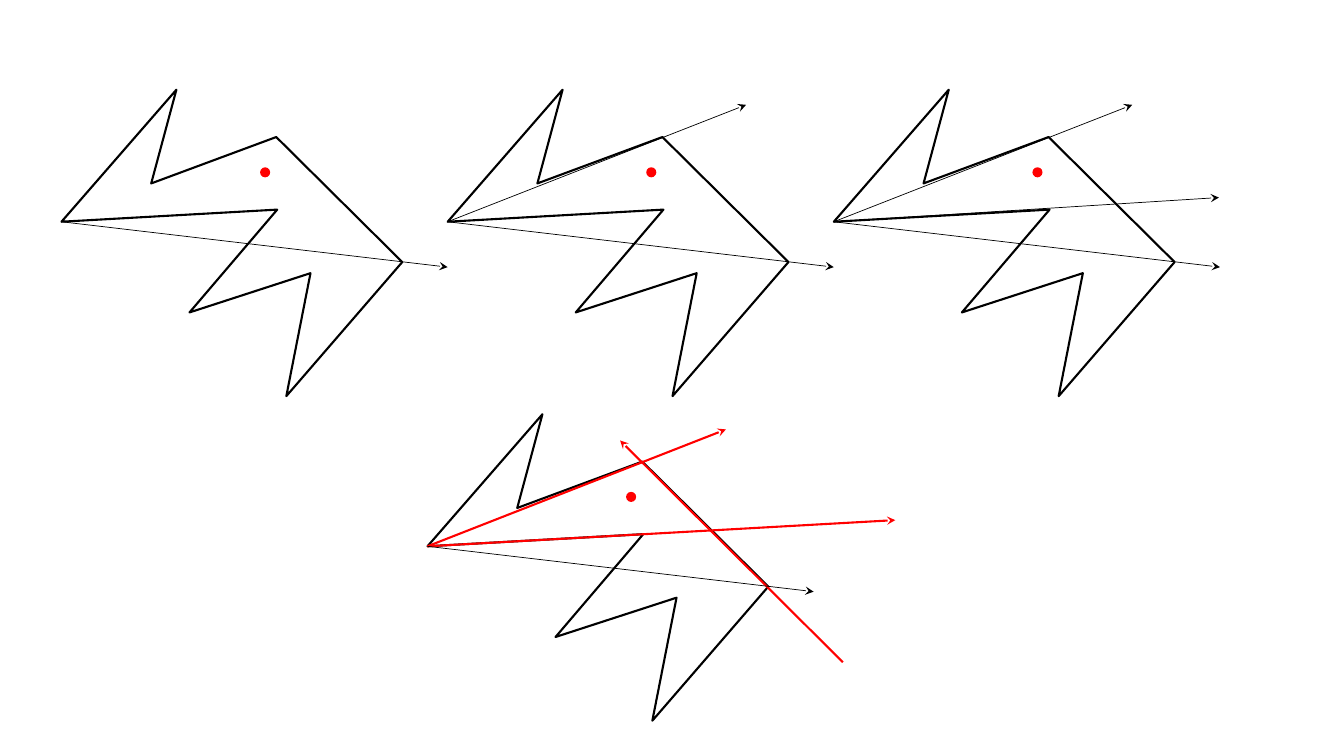
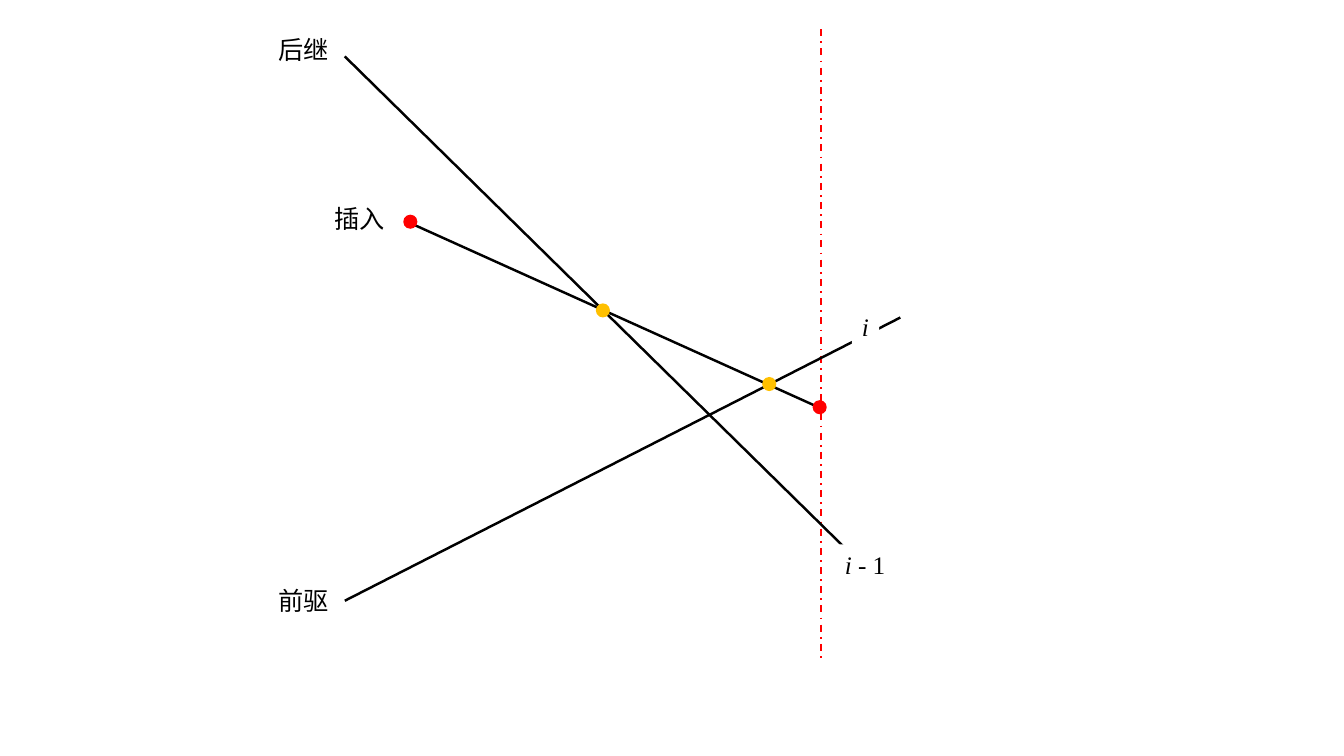
from lxml.etree import SubElement
from pptx import Presentation
from pptx.dml.color import RGBColor
from pptx.enum.dml import MSO_LINE
from pptx.enum.shapes import MSO_CONNECTOR, MSO_SHAPE
from pptx.enum.text import MSO_AUTO_SIZE as AutoSize
from pptx.oxml.ns import qn
from pptx.util import Pt

PX = 9144  # EMU per px, 100 px to the inch
COLORS = {"black": "000000", "red": "FF0000", "amber": "FFC000", "white": "FFFFFF"}
LATIN, CHINESE = "Times New Roman", "Noto Sans CJK SC"

# Polygon and rays, relative to the left top corner of the polygon
POLYGON = [(89, 93), (213, 47), (338, 171), (223, 304), (247, 182),
           (127, 221), (214, 119), (0, 131), (114, 0)]
APEX = (0, 131)
LOW_RAY = (APEX, (383, 176))
HIGH_RAY = (APEX, (296, 15))
MIDDLE_RAY = (APEX, (382, 107))
LONG_RAY = (APEX, (464, 105))
EDGE_RAY = ((412, 246), (191, 26))
THIN = {"color": "black", "width": 0.5}
BOLD = {"color": "red", "width": 1.5}


def color(name):
    return RGBColor.from_string(COLORS[name])


def set_format(target, values):
    for name, value in values.items():
        setattr(target, name, value)


def add_line(shapes, start, end, line_color, width, arrow=False, dash=None):
    ends = [value * PX for value in (*start, *end)]
    connector = shapes.add_connector(MSO_CONNECTOR.STRAIGHT, *ends)
    connector.line.color.rgb = color(line_color)
    set_format(connector.line, {"width": Pt(width), "dash_style": dash})
    properties = connector._element.spPr
    if arrow:
        SubElement(properties.find(qn("a:ln")), qn("a:tailEnd"), type="stealth")
    SubElement(properties, qn("a:effectLst"))


def add_dot(shapes, left, top, size, fill):
    dot = shapes.add_shape(MSO_SHAPE.OVAL, left * PX, top * PX, size * PX, size * PX)
    dot.shadow.inherit = False
    dot.fill.solid()
    dot.fill.fore_color.rgb = color(fill)
    dot.line.fill.background()


def add_label(shapes, box, runs, font, wrap=True, fill=None):
    """Place one line of text; runs are (text, italic) pairs."""
    label = shapes.add_textbox(*(value * PX for value in box))
    if fill:
        label.fill.solid()
        label.fill.fore_color.rgb = color(fill)
    set_format(label.text_frame,
               {"word_wrap": wrap, "auto_size": AutoSize.SHAPE_TO_FIT_TEXT})
    paragraph = label.text_frame.paragraphs[0]
    for text, italic in runs:
        run = paragraph.add_run()
        run.text = text
        run.font.color.rgb = color("black")
        set_format(run.font, {"size": Pt(18), "name": font, "italic": italic})
        SubElement(run._r.get_or_add_rPr(), qn("a:ea"), typeface=font)


def add_polygon(shapes, left, top):
    builder = shapes.build_freeform(*POLYGON[0], scale=PX)
    builder.add_line_segments(POLYGON[1:], close=True)
    polygon = builder.convert_to_shape(left * PX, top * PX)
    polygon.shadow.inherit = False
    polygon.fill.background()
    polygon.line.color.rgb = color("black")
    polygon.line.width = Pt(1.5)


def add_panel(slide, left, top, rays):
    """Group a polygon, its inner point and (ray, style) pairs."""
    shapes = slide.shapes.add_group_shape().shapes
    add_polygon(shapes, left, top)
    add_dot(shapes, left + 197, top + 77, 10, "red")
    for ray, style in rays:
        start, end = ((left + x, top + y) for x, y in ray)
        add_line(shapes, start, end, style["color"], style["width"], arrow=True)


def build_ray_slide(slide):
    steps = [[LOW_RAY], [LOW_RAY, HIGH_RAY], [MIDDLE_RAY, HIGH_RAY, LOW_RAY]]
    for index, rays in enumerate(steps):
        add_panel(slide, 61 + 383 * index, 89, [(ray, THIN) for ray in rays])
    result = [(ray, BOLD) for ray in (LONG_RAY, HIGH_RAY, EDGE_RAY)]
    add_panel(slide, 424, 411, result + [(LOW_RAY, THIN)])


def build_sweep_slide(slide):
    shapes = slide.shapes
    add_line(shapes, (814, 29), (814, 653), "red", 1.25, dash=MSO_LINE.DASH_DOT)
    segments = [((404, 220), (814, 405)), ((342, 596), (893, 315)),
                ((871, 576), (342, 56))]
    for start, end in segments:
        add_line(shapes, start, end, "black", 1.75)
    dots = [(400, 213, "red"), (591, 301, "amber"),
            (756, 374, "amber"), (806, 397, "red")]
    for left, top, fill in dots:
        add_dot(shapes, left, top, 14, fill)
    names = [((845, 304, 27, 40), [("i", True)]),
             ((828, 540, 61, 40), [("i - ", True), ("1", False)])]
    for box, runs in names:
        add_label(shapes, box, runs, LATIN, wrap=False, fill="white")
    for left, top, text in [(266, 29, "后继"), (266, 576, "前驱"), (322, 197, "插入")]:
        add_label(shapes, (left, top, 74, 40), [(text, False)], CHINESE)


def main():
    presentation = Presentation()
    set_format(presentation, {"slide_width": 1333 * PX, "slide_height": 750 * PX})
    blank = presentation.slide_layouts[6]
    for build in (build_ray_slide, build_sweep_slide):
        build(presentation.slides.add_slide(blank))
    presentation.save("out.pptx")


if __name__ == "__main__":
    main()
